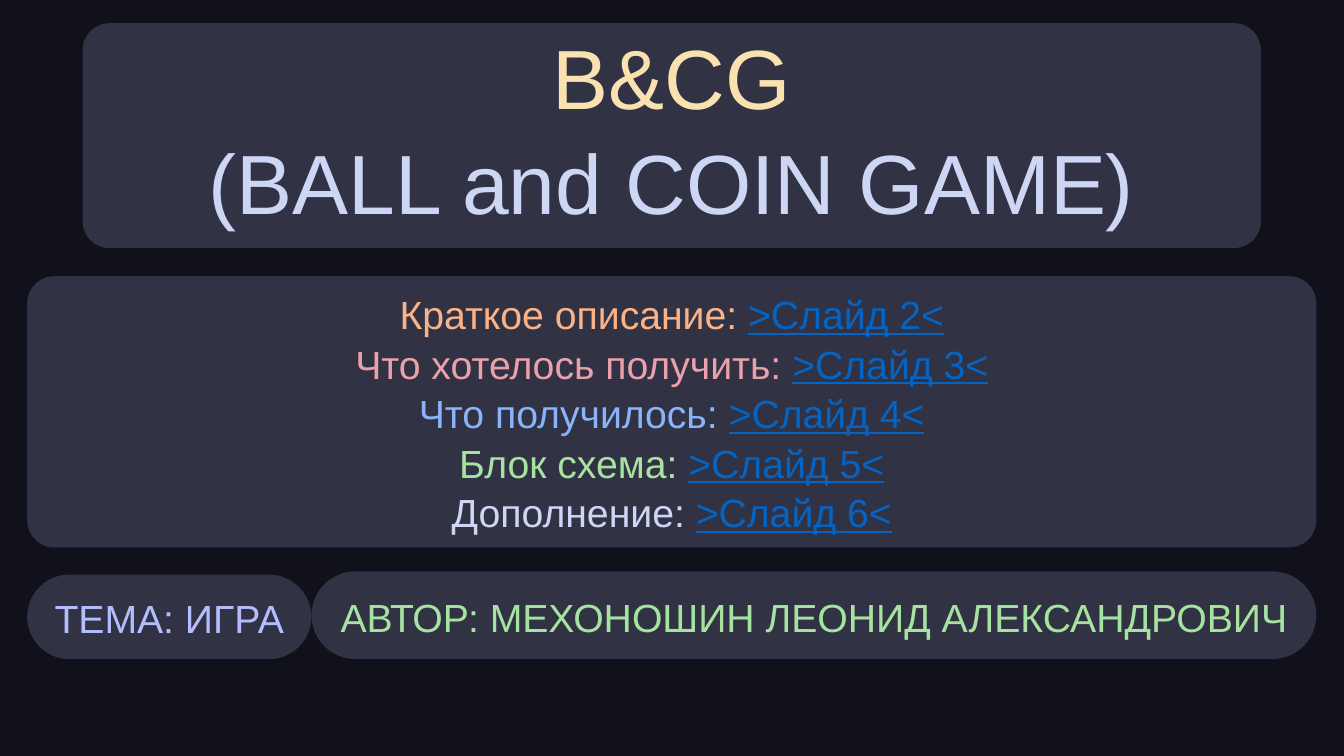
from pptx import Presentation
from pptx.dml.color import RGBColor
from pptx.enum import shapes, text
from pptx.util import Pt

COLORS = {
    "base": "11111B",
    "panel": "313244",
    "yellow": "F9E2AF",
    "text": "CDD6F4",
    "peach": "FAB387",
    "maroon": "EBA0AC",
    "blue": "89B4FA",
    "green": "A6E3A1",
    "lavender": "B4BEFE",
    "link": "0563C1",
}

CONTENTS = [
    ("Краткое описание: ", "peach"),
    ("Что хотелось получить: ", "maroon"),
    ("Что получилось: ", "blue"),
    ("Блок схема: ", "green"),
    ("Дополнение: ", "text"),
]


def rgb(name):
    return RGBColor.from_string(COLORS[name])


def add_panel(s, left, top, width, height, radius):
    sp = s.shapes.add_shape(shapes.MSO_SHAPE.ROUNDED_RECTANGLE,
                            Pt(left), Pt(top), Pt(width), Pt(height))
    sp.adjustments[0] = radius
    sp.shadow.inherit = False
    sp.fill.solid()
    sp.fill.fore_color.rgb = rgb("panel")
    sp.line.fill.background()
    return sp.text_frame


def write_lines(tf, lines, size, anchor=text.MSO_ANCHOR.MIDDLE):
    tf.word_wrap = True
    tf.vertical_anchor = anchor
    for i, runs in enumerate(lines):
        p = tf.add_paragraph() if i else tf.paragraphs[0]
        p.alignment = text.PP_ALIGN.CENTER
        p.line_spacing = 1.05
        p.font.name = "Arial"
        p.font.size = Pt(size)
        for content, color in runs:
            r = p.add_run()
            r.text = content
            r.font.name = "Arial"
            r.font.size = Pt(size)
            r.font.color.rgb = rgb(color)
            if color == "link":
                r.font.underline = True


def add_title(s):
    tf = add_panel(s, 59, 16.6, 841.7, 160.6, 0.12)
    tf.margin_bottom = Pt(6)
    lines = [[("B&CG", "yellow")], [("(BALL and COIN GAME)", "text")]]
    write_lines(tf, lines, 60, text.MSO_ANCHOR.BOTTOM)


def add_contents(s):
    tf = add_panel(s, 19.4, 197.3, 920.9, 193.7, 0.1)
    lines = [[(label, color), (f">Слайд {number}<", "link")]
             for number, (label, color) in enumerate(CONTENTS, start=2)]
    write_lines(tf, lines, 28)


def add_pill(s, left, top, width, height, label, color):
    tf = add_panel(s, left, top, width, height, 0.5)
    tf.margin_left = tf.margin_right = Pt(0)
    write_lines(tf, [[(label, color)]], 28)


def main():
    prs = Presentation()
    prs.slide_width, prs.slide_height = Pt(960), Pt(540)
    s = prs.slides.add_slide(prs.slide_layouts[6])
    s.background.fill.solid()
    s.background.fill.fore_color.rgb = rgb("base")
    add_title(s)
    add_contents(s)
    add_pill(s, 19.4, 410.4, 203, 60.5, "ТЕМА: ИГРА", "lavender")
    add_pill(s, 222.5, 408.2, 717.8, 62.6,
             "АВТОР: МЕХОНОШИН ЛЕОНИД АЛЕКСАНДРОВИЧ", "green")
    prs.save("out.pptx")


if __name__ == "__main__":
    main()
